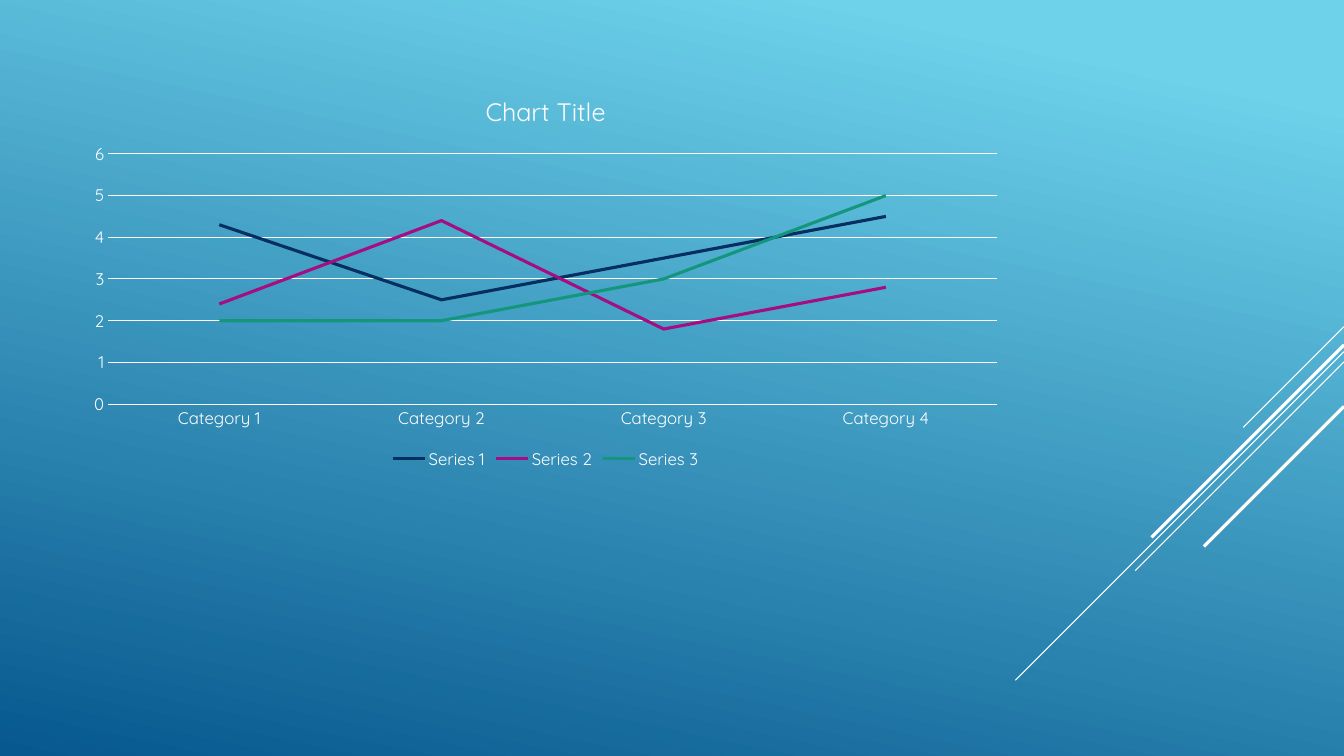
from lxml.etree import SubElement
from pptx import Presentation
from pptx.chart.data import CategoryChartData as Data
from pptx.dml.color import RGBColor
from pptx.enum.chart import XL_CHART_TYPE as Kind, XL_LEGEND_POSITION as Spot, XL_TICK_MARK as Tick
from pptx.enum.shapes import MSO_CONNECTOR as Join
from pptx.oxml.ns import qn
from pptx.util import Cm, Pt


def paint(color, code):
    color.rgb = RGBColor.from_string(code)


def draw(line, code, width):
    line.fill.solid()
    paint(line.color, code)
    line.width = Pt(width)


WHITE = "FFFFFF"
FONT = "Quicksand"
WIDE = 33.87

deck = Presentation()
deck.slide_width, deck.slide_height = Cm(WIDE), Cm(19.05)
slide = deck.slides.add_slide(deck.slide_layouts[6])

back = slide.background.fill
back.gradient()
back.gradient_angle = 258
for stop, (spot, code) in zip(back.gradient_stops, [(0.1, "6ED2EB"), (1, "06588E")]):
    stop.position = spot
    paint(stop.color, code)

rays = [(8.23, 2.54, 0.75), (8.86, 8.28, 0.75), (9.12, 5.26, 0.75),
        (8.69, 4.85, 2.25), (10.24, 3.53, 2.25)]
for top, run, width in rays:
    ray = slide.shapes.add_connector(Join.STRAIGHT, Cm(WIDE), Cm(top), Cm(WIDE - run), Cm(top + run))
    draw(ray.line, WHITE, width)
    SubElement(ray._element.spPr, qn("a:effectLst"))

rows = [("Series 1", (4.3, 2.5, 3.5, 4.5), "052F61"),
        ("Series 2", (2.4, 4.4, 1.8, 2.8), "A50E82"),
        ("Series 3", (2, 2, 3, 5), "14967C")]
data = Data()
data.categories = [f"Category {n}" for n in range(1, 5)]
for name, vals, code in rows:
    data.add_series(name, vals)

chart = slide.shapes.add_chart(Kind.LINE, Cm(1.9), Cm(1.9), Cm(23.7), Cm(10.03), data).chart
chart.has_title = chart.has_legend = True
title = chart.chart_title
title.include_in_layout = False
title.text_frame.text = "Chart Title"
legend = chart.legend
base, scale = chart.category_axis, chart.value_axis

looks = [
    (legend, {"position": Spot.BOTTOM, "include_in_layout": False}),
    (base, {"major_tick_mark": Tick.NONE, "minor_tick_mark": Tick.NONE}),
    (scale, {"major_tick_mark": Tick.NONE, "minor_tick_mark": Tick.NONE,
             "minimum_scale": 0, "maximum_scale": 6, "major_unit": 1,
             "has_major_gridlines": True}),
    (scale.tick_labels, {"number_format": "General", "number_format_is_linked": False}),
    (chart.plots[0], {"vary_by_categories": False}),
]
for part, look in looks:
    for key, val in look.items():
        setattr(part, key, val)

head = title.text_frame.paragraphs[0].runs[0].font
fonts = [(chart.font, 10), (head, 18), (legend.font, 12),
         (base.tick_labels.font, 12), (scale.tick_labels.font, 12)]
for font, size in fonts:
    for key, val in {"name": FONT, "size": Pt(size), "bold": False}.items():
        setattr(font, key, val)
    paint(font.color, WHITE)

draw(base.format.line, WHITE, 0.75)
draw(scale.major_gridlines.format.line, WHITE, 0.75)
scale.format.line.fill.background()
for line, (name, vals, code) in zip(chart.plots[0].series, rows):
    line.smooth = False
    draw(line.format.line, code, 2.25)

deck.save("out.pptx")
